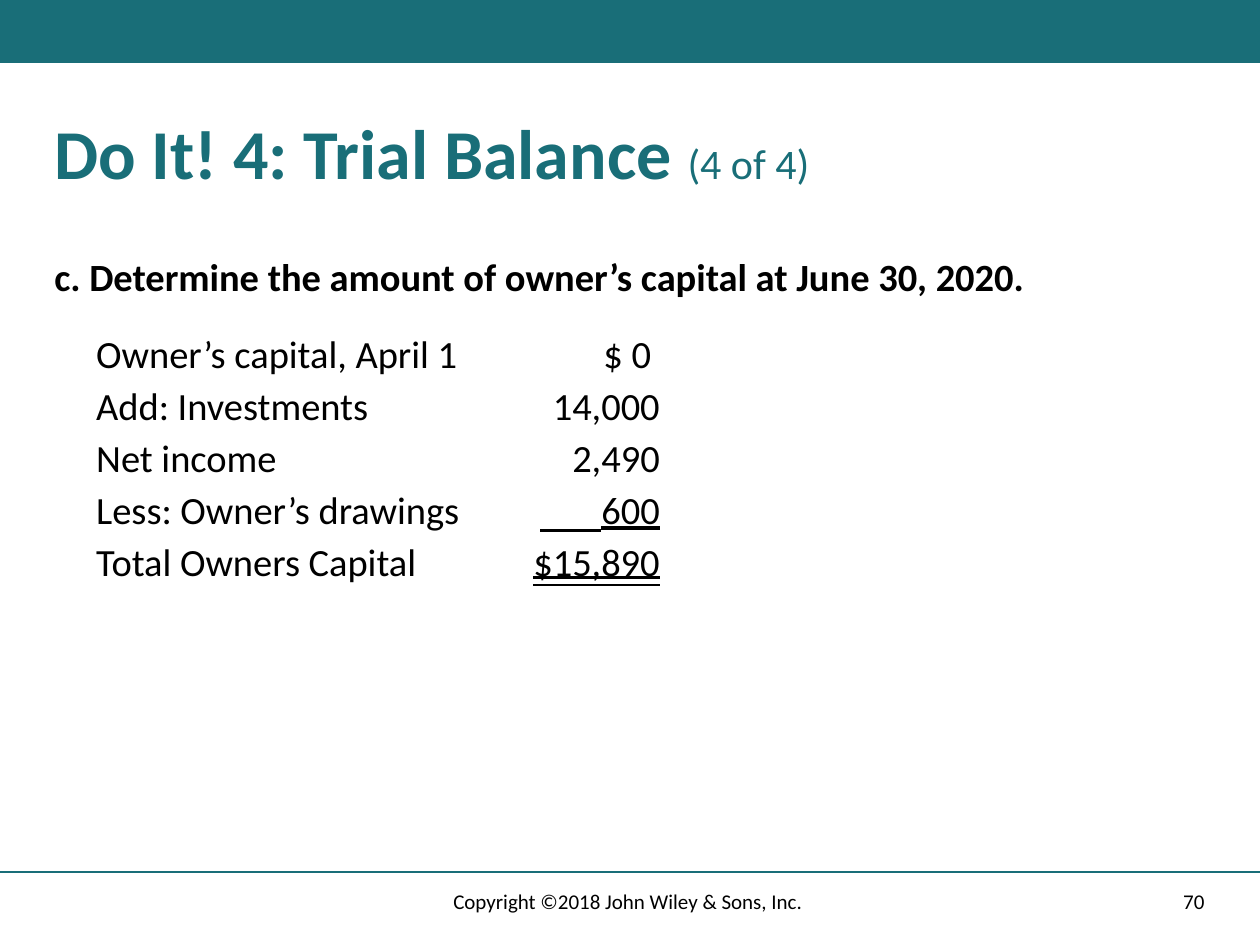
from lxml import etree
from pptx import Presentation
from pptx.dml.color import RGBColor
from pptx.enum.shapes import MSO_CONNECTOR, MSO_SHAPE
from pptx.enum.text import MSO_ANCHOR, MSO_AUTO_SIZE, MSO_UNDERLINE, PP_ALIGN
from pptx.oxml.ns import qn
from pptx.util import Cm, Pt

LEFT, CENTER, RIGHT = PP_ALIGN.LEFT, PP_ALIGN.CENTER, PP_ALIGN.RIGHT
TOP, MIDDLE = MSO_ANCHOR.TOP, MSO_ANCHOR.MIDDLE
SINGLE, DOUBLE = MSO_UNDERLINE.SINGLE_LINE, MSO_UNDERLINE.DOUBLE_LINE
COLORS = {"teal": "196E78", "black": "000000", "white": "FFFFFF"}


def write(para, text, size=22, color="black", bold=False, underline=None, align=LEFT):
    para.alignment = align
    span = para.add_run()
    span.text = text
    font = span.font
    font.name, font.size, font.bold = "Calibri", Pt(size), bold
    font.color.rgb = RGBColor.from_string(COLORS[color])
    if underline:
        font.underline = underline


def add_rule(page, left, right, height, color, width):
    rule = page.shapes.add_connector(
        MSO_CONNECTOR.STRAIGHT, Cm(left), Cm(height), Cm(right), Cm(height))
    rule.line.color.rgb = RGBColor.from_string(COLORS[color])
    rule.line.width = Pt(width)
    etree.SubElement(rule._element.spPr, qn("a:effectLst"))


deck = Presentation()
deck.slide_width, deck.slide_height = Cm(25.4), Cm(19.05)
page = deck.slides.add_slide(deck.slide_layouts[1])

# Top band and footer rule
band = page.shapes.add_shape(MSO_SHAPE.RECTANGLE, 0, 0, Cm(25.4), Cm(1.27))
band.shadow.inherit = False
band.fill.solid()
band.fill.fore_color.rgb = RGBColor.from_string(COLORS["teal"])
band.line.fill.background()
add_rule(page, 0, 25.4, 17.58, "teal", 1)

# Title and question
title, question = page.shapes.title, page.placeholders[1]
for box, top, width, height, anchor in (
    (title, 2.11, 23.7, 2.11, MIDDLE),
    (question, 5.08, 23.5, 0.99, TOP),
):
    box.left, box.top, box.width, box.height = Cm(0.84), Cm(top), Cm(width), Cm(height)
    box.text_frame.auto_size = MSO_AUTO_SIZE.NONE
    box.text_frame.vertical_anchor = anchor
    box.text_frame.paragraphs[0].line_spacing = 0.9
    box.text_frame.paragraphs[0].space_before = Pt(0)

heading = title.text_frame.paragraphs[0]
write(heading, "Do It! 4: Trial Balance ", size=40, color="teal", bold=True)
write(heading, "(4 of 4)", size=24, color="teal")

para = question.text_frame.paragraphs[0]
properties = para._p.get_or_add_pPr()
properties.set("marL", "0")
properties.set("indent", "0")
etree.SubElement(properties, qn("a:buNone"))
write(para, "c. Determine the amount of owner’s capital at June 30, 2020.", bold=True)

# Owner's capital statement
statement = [
    ("Owner’s capital, April 1", "$ 0 ", None),
    ("Add: Investments", "14,000", None),
    ("Net income", "2,490", None),
    ("Less: Owner’s drawings", "600", SINGLE),
    ("Total Owners Capital", "$15,890", DOUBLE),
]
table = page.shapes.add_table(
    len(statement), 2, Cm(1.69), Cm(6.7), Cm(11.86), Cm(5.2)).table
table.first_row = table.horz_banding = False
table.columns[0].width, table.columns[1].width = Cm(8.05), Cm(3.81)
for row, (label, amount, underline) in enumerate(statement):
    table.rows[row].height = Cm(1.04)
    for column, text in enumerate((label, amount)):
        cell = table.cell(row, column)
        cell.fill.solid()
        cell.fill.fore_color.rgb = RGBColor.from_string(COLORS["white"])
        cell.margin_left = cell.margin_right = Cm(0.25)
        cell.margin_top, cell.margin_bottom = 0, Cm(0.1)
        write(cell.text_frame.paragraphs[0], text,
              underline=underline if column else None,
              align=RIGHT if column else LEFT)

# Subtotal rule, extending the underline to the left
add_rule(page, 10.89, 12.12, 10.69, "black", 1.75)

# Page number and copyright
for text, left, width, align in (
    ("70", 17.93, 6.6, RIGHT),
    ("Copyright ©2018 John Wiley & Sons, Inc. ", 8.41, 8.59, CENTER),
):
    box = page.shapes.add_textbox(Cm(left), Cm(17.65), Cm(width), Cm(1.02))
    box.text_frame.word_wrap = True
    box.text_frame.vertical_anchor = MIDDLE
    write(box.text_frame.paragraphs[0], text, size=12, align=align)

deck.save("out.pptx")
